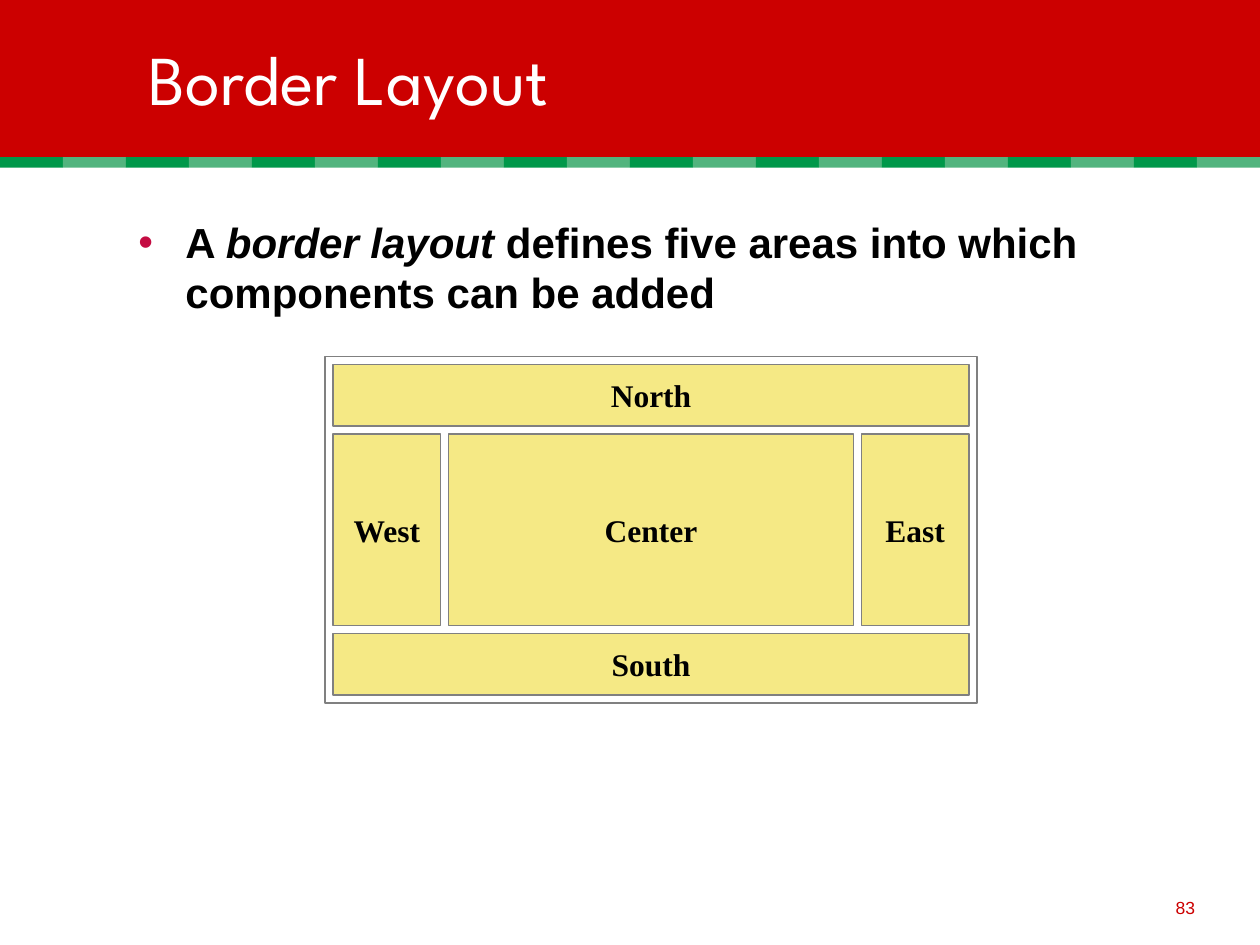
import pptx
import pptx.dml.color
import pptx.enum.shapes
import pptx.enum.text
import pptx.oxml
import pptx.oxml.ns
import pptx.util

Cm = pptx.util.Cm
Align = pptx.enum.text.PP_ALIGN
Anchor = pptx.enum.text.MSO_ANCHOR

SLIDE_WIDTH, SLIDE_HEIGHT = 25.4, 19.05
RED, WHITE, BLACK, GRAY = "CC0000", "FFFFFF", "000000", "808080"
GREENS = ("00984A", "52B47E")
YELLOW = "F5E985"


def color(value):
    return pptx.dml.color.RGBColor.from_string(value)


def add_rectangle(slide, box, fill, line=None):
    shape = slide.shapes.add_shape(
        pptx.enum.shapes.MSO_SHAPE.RECTANGLE, *(Cm(length) for length in box))
    shape.shadow.inherit = False
    shape.fill.solid()
    shape.fill.fore_color.rgb = color(fill)
    if line:
        shape.line.color.rgb = color(line)
        shape.line.width = pptx.util.Pt(1)
    else:
        shape.line.fill.background()
    return shape


def add_text_box(slide, box):
    return slide.shapes.add_textbox(*(Cm(length) for length in box))


def write_text(shape, *runs, font="Arial", size=18, text_color=BLACK, bold=False,
               align=Align.LEFT, anchor=Anchor.MIDDLE, wrap=True):
    """Write (text, italic) runs into the first paragraph and return it."""
    frame = shape.text_frame
    frame.word_wrap = wrap
    frame.vertical_anchor = anchor
    paragraph = frame.paragraphs[0]
    paragraph.alignment = align
    for text, italic in runs:
        run = paragraph.add_run()
        run.text = text
        run.font.name = font
        run.font.size = pptx.util.Pt(size)
        run.font.bold = bold
        run.font.italic = italic
        run.font.color.rgb = color(text_color)
    return paragraph


def add_bullet(paragraph, bullet_color, indent):
    properties = paragraph._p.get_or_add_pPr()
    properties.set("marL", str(Cm(indent)))
    properties.set("indent", str(-Cm(indent)))
    namespace = pptx.oxml.ns.nsdecls("a")
    for xml in (f'<a:buClr {namespace}><a:srgbClr val="{bullet_color}"/></a:buClr>',
                f'<a:buFont {namespace} typeface="Arial"/>',
                f'<a:buChar {namespace} char="•"/>'):
        properties.append(pptx.oxml.parse_xml(xml))


def add_header(slide, left, top, width, height):
    # Red banner
    add_rectangle(slide, (left, top, width, height), RED)

    # Strip of alternating greens
    count = 20
    step = width / count
    for index in range(count):
        add_rectangle(slide, (left + index * step, top + height, step, 0.21),
                      GREENS[index % 2])

    # Title
    title = add_text_box(slide, (left + 2.74, top + 0.61, 22.02, 1.9))
    write_text(title, ("Border Layout", False), font="League Spartan", size=40,
               text_color=WHITE)


def add_body(slide, left, top, width, height):
    body = add_text_box(slide, (left, top, width, height))
    paragraph = write_text(
        body, ("A ", False), ("border layout", True),
        (" defines five areas into which components can be added", False),
        size=24, bold=True, anchor=Anchor.TOP)
    add_bullet(paragraph, "C40C42", 0.95)


def add_border_layout(slide, left, top, width, height):
    gap, band, side = 0.16, 1.24, 2.16
    inner_width = width - 2 * gap
    middle_top = band + 2 * gap
    middle_height = height - 2 * middle_top
    center_left = side + 2 * gap

    # Outer frame
    add_rectangle(slide, (left, top, width, height), WHITE, GRAY)

    # Five areas, relative to the frame
    areas = {
        "North": (gap, gap, inner_width, band),
        "South": (gap, height - gap - band, inner_width, band),
        "Center": (center_left, middle_top, width - 2 * center_left, middle_height),
        "East": (width - gap - side, middle_top, side, middle_height),
        "West": (gap, middle_top, side, middle_height),
    }
    for name, (x, y, area_width, area_height) in areas.items():
        area = add_rectangle(slide, (left + x, top + y, area_width, area_height),
                             YELLOW, GRAY)
        write_text(area, (name, False), font="Times New Roman", bold=True,
                   align=Align.CENTER, wrap=False)


def add_page_number(slide, left, top, width, height):
    number = add_text_box(slide, (left, top, width, height))
    write_text(number, ("83", False), size=10, text_color=RED,
               align=Align.RIGHT, anchor=Anchor.BOTTOM)


def main():
    presentation = pptx.Presentation()
    presentation.slide_width = Cm(SLIDE_WIDTH)
    presentation.slide_height = Cm(SLIDE_HEIGHT)
    slide = presentation.slides.add_slide(presentation.slide_layouts[6])

    add_header(slide, 0, 0, SLIDE_WIDTH, 3.17)
    add_body(slide, 2.54, 4.24, 22.02, 13.77)
    add_border_layout(slide, 6.56, 7.19, 13.13, 6.98)
    add_page_number(slide, 19.05, 17.57, 5.29, 1.06)

    presentation.save("out.pptx")


if __name__ == "__main__":
    main()
